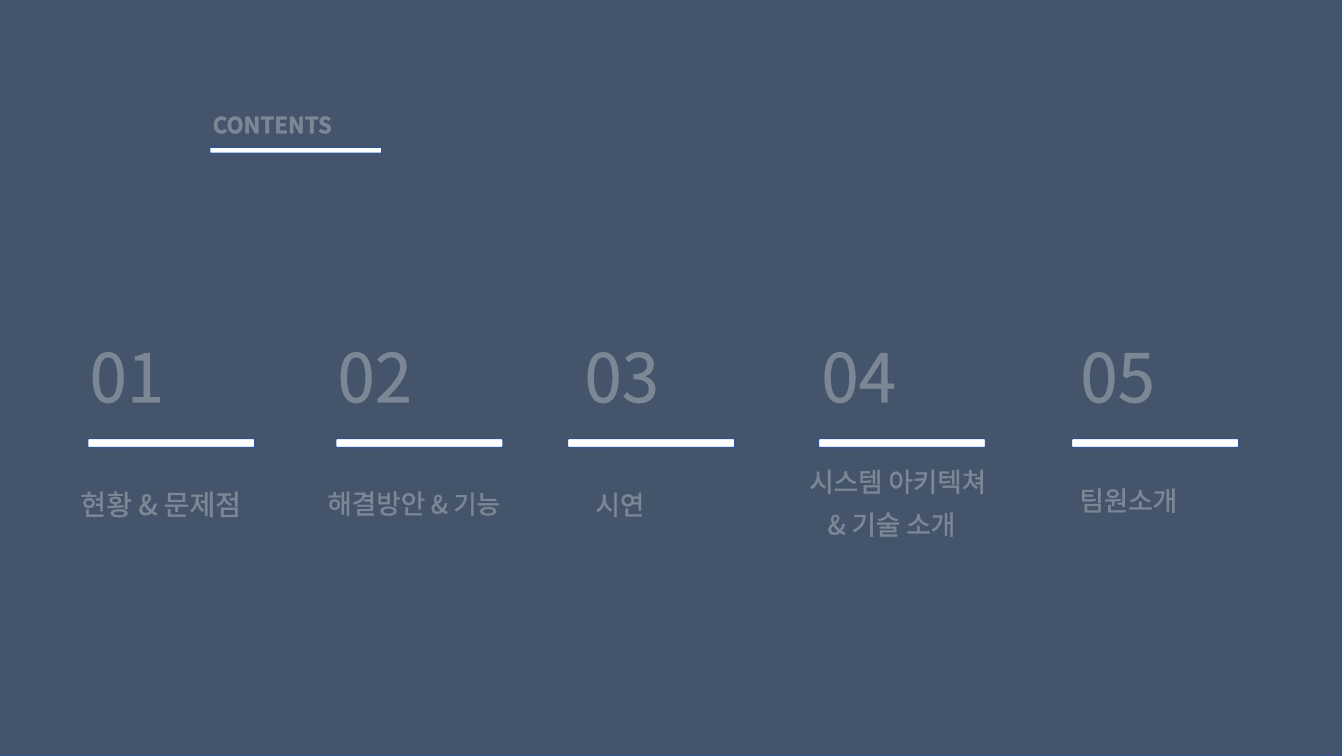
from lxml import etree
from pptx import Presentation
from pptx.dml.color import RGBColor
from pptx.enum.shapes import MSO_SHAPE
from pptx.enum.text import MSO_ANCHOR, MSO_AUTO_SIZE, PP_ALIGN
from pptx.oxml.ns import qn
from pptx.util import Pt

RECT = MSO_SHAPE.RECTANGLE
BAR = MSO_SHAPE.FLOWCHART_ALTERNATE_PROCESS
MIDDLE = MSO_ANCHOR.MIDDLE
FIXED = MSO_AUTO_SIZE.NONE
LEFT = PP_ALIGN.LEFT
FONT = "Noto Sans CJK KR"
HUES = {"back": "44546A", "edge": "325491", "text": "FFFFFF"}

# Each part: number shift, bar left, label shift, label top, width, height, lines
PARTS = [
    (-5.7, 62.6, -12.2, 336.2, 177, 50.4, [[("현황 & 문제점", 20)]]),
    (-5.8, 239.8, -13, 335.5, 205, 50.4, [[("해결방안", 19), (" & 기능", 18)]]),
    (5, 405.4, 12.9, 337, 153, 49, [[("시연", 19)]]),
    (-5, 584.6, -13.6, 330.5, 186, 59.8,
     [[("시스템 아키텍쳐", 19)], [("& 기술 소개", 19)]]),
    (-0.8, 765.4, -1.5, 342.7, 143, 31.7, [[("팀원소개", 19)]]),
]


def place(shape, x, y, w, h):
    """Move a shape to a box given in points."""
    shape.left, shape.top, shape.width, shape.height = map(Pt, (x, y, w, h))


def block(slide, kind, x, y, w, h, hue):
    """Add a filled shape with a thin blue edge."""
    shape = slide.shapes.add_shape(kind, Pt(x), Pt(y), Pt(w), Pt(h))
    shape.shadow.inherit = False
    shape.fill.solid()
    shape.fill.fore_color.rgb = RGBColor.from_string(HUES[hue])
    shape.line.color.rgb = RGBColor.from_string(HUES["edge"])
    shape.line.width = Pt(1)
    return shape


def glow(run):
    """Give a run a faint outline and the East Asian font."""
    props = run.font._element if hasattr(run.font, "_element") else run._r.get_or_add_rPr()
    line = etree.Element(qn("a:ln"), w=str(Pt(0.75)))
    fill = etree.SubElement(line, qn("a:solidFill"))
    tint = etree.SubElement(fill, qn("a:srgbClr"), val=HUES["text"])
    etree.SubElement(tint, qn("a:alpha"), val="30000")
    props.insert(0, line)
    face = etree.Element(qn("a:ea"), typeface=FONT)
    props.find(qn("a:latin")).addnext(face)


def write(shape, lines, bold=False, gap=10, dent=0):
    """Fill a shape with lines of (text, size) runs."""
    frame = shape.text_frame
    frame.word_wrap = True
    frame.auto_size = FIXED
    frame.vertical_anchor = MIDDLE
    for i, runs in enumerate(lines):
        para = frame.add_paragraph() if i else frame.paragraphs[0]
        para.alignment = LEFT
        para.line_spacing = 0.9
        para.space_before = Pt(gap)
        if i and dent:
            para._p.get_or_add_pPr().set("marL", str(Pt(dent)))
        for text, size in runs:
            run = para.add_run()
            run.text = text
            run.font.size = Pt(size)
            run.font.name = FONT
            run.font.bold = bold
            run.font.color.rgb = RGBColor.from_string(HUES["text"])
            glow(run)


def note(slide, x, y, w, h, lines, **style):
    """Add a text box holding the given lines."""
    write(slide.shapes.add_textbox(Pt(x), Pt(y), Pt(w), Pt(h)), lines, **style)


def head(slide, x, y, w, h):
    """Set the title and its underline in a box."""
    title = slide.shapes.title
    place(title, x, y, w, h)
    write(title, [[("CONTENTS", 16)]], bold=True, gap=0)
    block(slide, BAR, x + 5, y + h - 0.7, 123, 4.3, "text")


def entry(slide, num, part, y):
    """Draw one numbered part: number, bar and label."""
    shift, x, move, top, w, h, lines = part
    note(slide, x + shift, y, 130.3, 75.6, [[(f"{num:02}", 48)]])
    block(slide, BAR, x, y + 79.2, 119.5, 6.5, "text")
    note(slide, x + move, top, w, h, lines, dent=13)


def main():
    """Build and save the contents slide."""
    deck = Presentation()
    deck.slide_width, deck.slide_height = Pt(960), Pt(540)
    slide = deck.slides.add_slide(deck.slide_layouts[5])
    back = block(slide, RECT, -2, -2, 960, 542, "back")
    slide.shapes.title.element.addprevious(back.element)
    head(slide, 144.7, 74.2, 157.7, 31.7)
    for num, part in enumerate(PARTS, 1):
        entry(slide, num, part, 234)
    deck.save("out.pptx")


if __name__ == "__main__":
    main()
